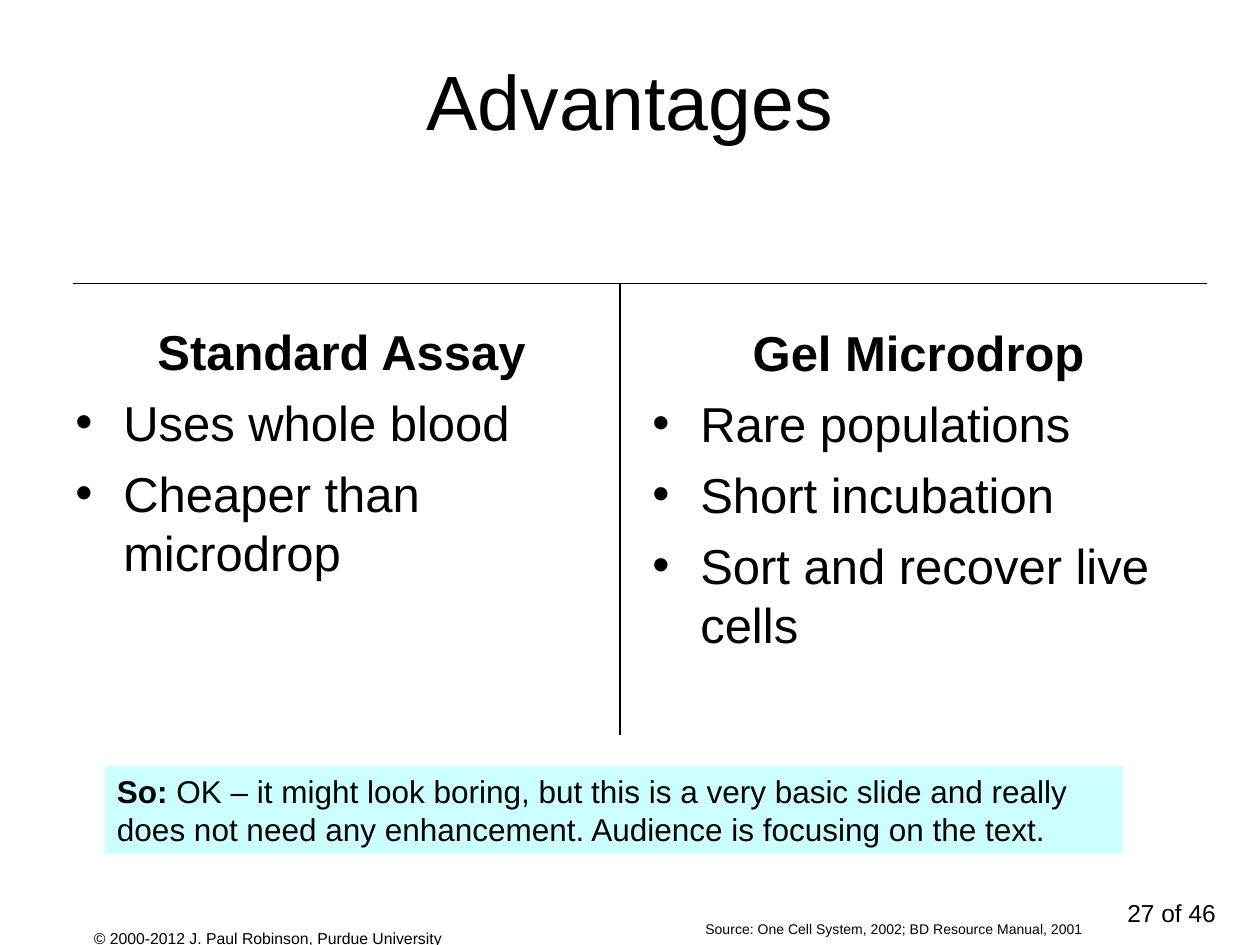
from pptx import Presentation
from pptx.dml.color import RGBColor
from pptx.enum.shapes import MSO_CONNECTOR, MSO_SHAPE
from pptx.enum.text import MSO_ANCHOR, MSO_AUTO_SIZE as FIT, PP_ALIGN as ALIGN
from pptx.oxml.ns import qn
from pptx.util import Pt
from lxml.etree import SubElement

PX = 9144  # 100 px to the inch
FONT = "Arial"
COLORS = {"text": "000000", "rule": "000000", "note": "CCFFFF"}
INDENT = 38


def px(*lengths):
    return [length * PX for length in lengths]


def color(name):
    return RGBColor.from_string(COLORS[name])


def add_span(para, text, size, bold=False):
    span = para.add_run()
    span.text = text
    span.font.name = FONT
    span.font.size = Pt(size)
    span.font.bold = bold
    span.font.color.rgb = color("text")


def add_text_box(page, box, wrap=True, fit=FIT.NONE):
    frame = page.shapes.add_textbox(*px(*box)).text_frame
    frame.word_wrap = wrap
    frame.auto_size = fit
    return frame


def add_label(page, box, text, size, align=ALIGN.LEFT, **options):
    para = add_text_box(page, box, **options).paragraphs[0]
    para.alignment = align
    add_span(para, text, size)


def add_title(page, box, text):
    title = page.shapes.title
    title.left, title.top, title.width, title.height = px(*box)
    frame = title.text_frame
    frame.auto_size = FIT.NONE
    frame.vertical_anchor = MSO_ANCHOR.MIDDLE
    para = frame.paragraphs[0]
    para.alignment = ALIGN.CENTER
    add_span(para, text, 44)


def add_bullet(para):
    props = para._p.get_or_add_pPr()
    props.set("marL", str(INDENT * PX))
    props.set("indent", str(-INDENT * PX))
    SubElement(props, qn("a:buFont")).set("typeface", FONT)
    SubElement(props, qn("a:buChar")).set("char", "•")


def add_column(page, box, heading, points):
    frame = add_text_box(page, box)
    para = frame.paragraphs[0]
    para.alignment = ALIGN.CENTER
    add_span(para, heading, 28, bold=True)
    for point in points:
        para = frame.add_paragraph()
        add_bullet(para)
        para.space_before = Pt(7)
        add_span(para, point, 28)


def add_rule(page, start, end):
    rule = page.shapes.add_connector(MSO_CONNECTOR.STRAIGHT, *px(*start, *end))
    rule.line.color.rgb = color("rule")
    rule.line.width = Pt(0.75)
    SubElement(rule._element.spPr, qn("a:effectLst"))


def add_note(page, box, lead, text):
    note = page.shapes.add_shape(MSO_SHAPE.RECTANGLE, *px(*box))
    note.shadow.inherit = False
    note.fill.solid()
    note.fill.fore_color.rgb = color("note")
    note.line.fill.background()
    frame = note.text_frame
    frame.word_wrap = True
    frame.auto_size = FIT.SHAPE_TO_FIT_TEXT
    frame.vertical_anchor = MSO_ANCHOR.TOP
    para = frame.paragraphs[0]
    para.alignment = ALIGN.LEFT
    add_span(para, lead, 18, bold=True)
    add_span(para, text, 18)


def main():
    deck = Presentation()
    deck.slide_width, deck.slide_height = px(1000, 750)
    page = deck.slides.add_slide(deck.slide_layouts[5])

    add_label(page, (0, 732, 425, 18),
              "© 2000-2012 J. Paul Robinson, Purdue University", 9, ALIGN.CENTER)
    add_label(page, (742, 708, 233, 33), "27 of 46", 14, ALIGN.RIGHT)
    add_title(page, (50, 17, 900, 125), "Advantages")
    add_column(page, (50, 250, 442, 420), "Standard Assay",
               ["Uses whole blood", "Cheaper than microdrop"])
    add_column(page, (508, 251, 442, 403), "Gel Microdrop",
               ["Rare populations", "Short incubation", "Sort and recover live cells"])
    add_rule(page, (492, 583), (492, 225))
    add_rule(page, (58, 225), (958, 225))
    add_label(page, (550, 726, 320, 24),
              "Source: One Cell System, 2002; BD Resource Manual, 2001", 8,
              wrap=False, fit=FIT.SHAPE_TO_FIT_TEXT)
    add_note(page, (83, 608, 808, 70), "So:",
             " OK – it might look boring, but this is a very basic slide and really "
             "does not need any enhancement. Audience is focusing on the text.")
    deck.save("out.pptx")


if __name__ == "__main__":
    main()
